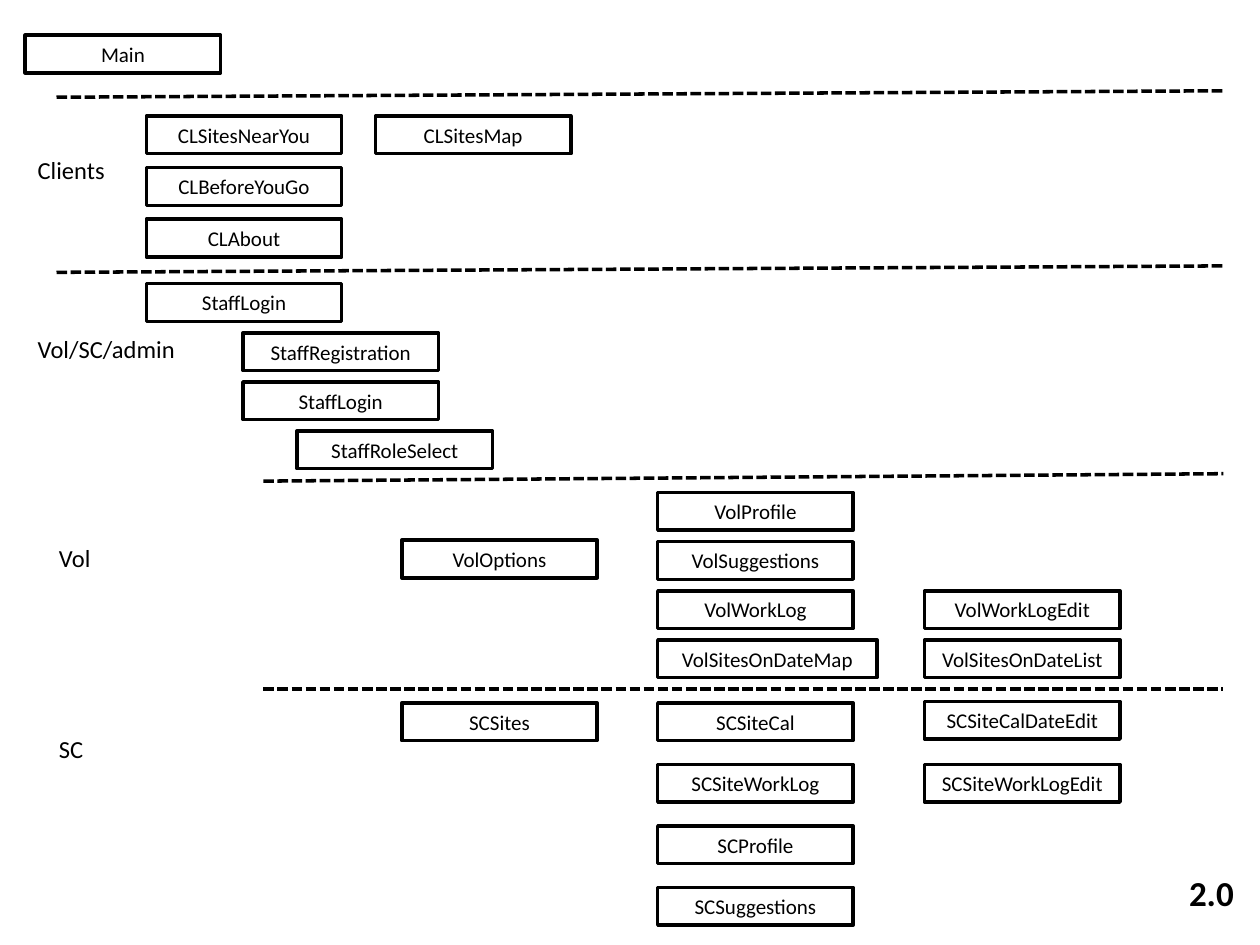
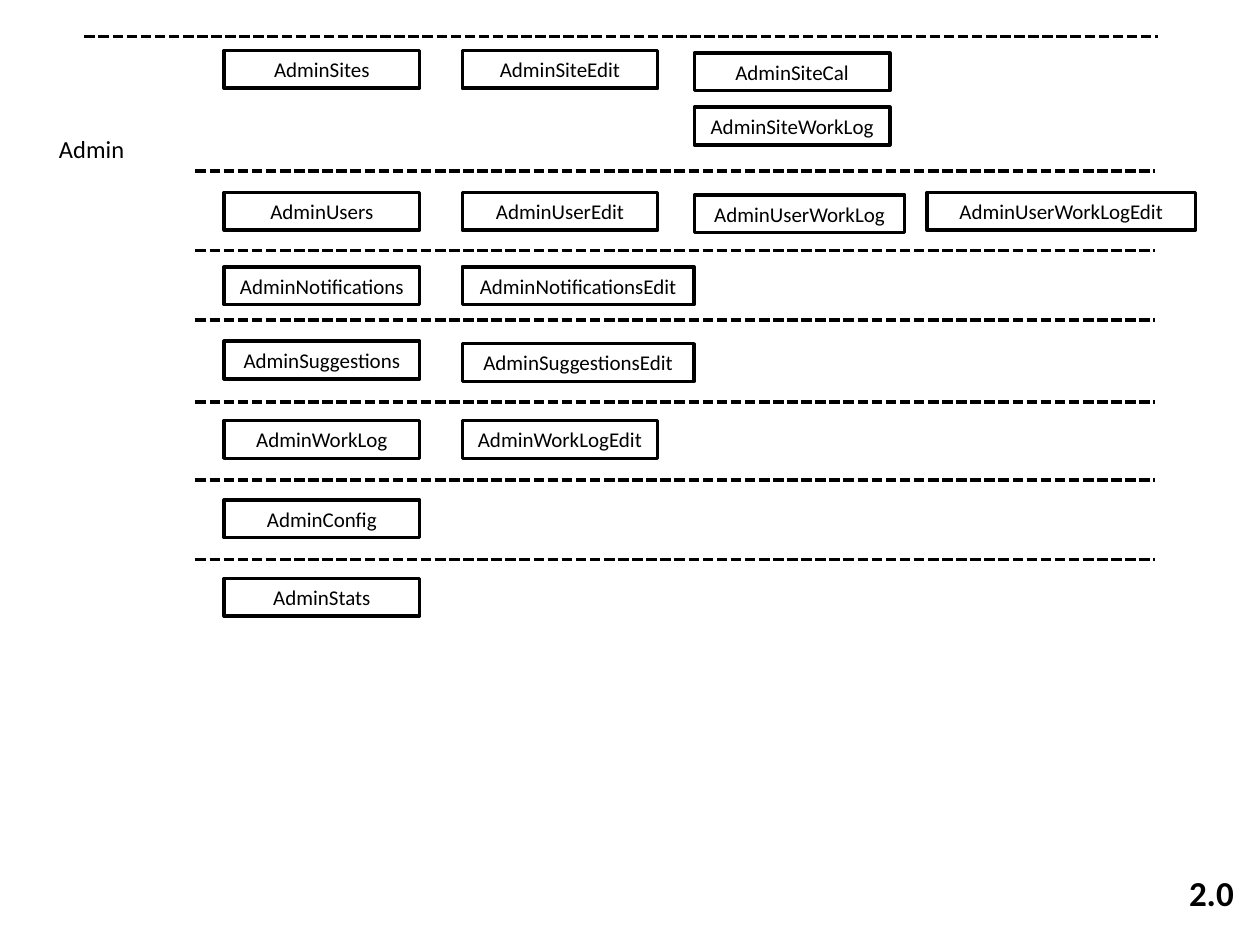
"""Build a two-slide screen map grouped by user role."""
import dataclasses

import pptx
import pptx.dml.color
import pptx.enum.dml
import pptx.enum.shapes
import pptx.enum.text
import pptx.oxml.ns
import pptx.util
from lxml import etree

Cm = pptx.util.Cm
Pt = pptx.util.Pt

INK = "000000"
PAPER = "FFFFFF"
FONT = "Calibri"
SCREEN_WIDTH = 3.94
SCREEN_HEIGHT = 0.76


@dataclasses.dataclass
class Screen:
    """One named screen, placed at a column of its row."""
    left: float
    name: str
    width: float = SCREEN_WIDTH
    nudge: float = 0


@dataclasses.dataclass
class Label:
    """A role name, placed relative to the top of its region."""
    text: str
    left: float
    offset: float
    width: float


@dataclasses.dataclass
class Region:
    """A divider with rows of screens below it."""
    left: float
    top: float
    right: float
    first: float
    rows: list
    step: float = 0
    rise: float = 0
    label: Label = None


def color(value):
    """Turn a hex string into a colour."""
    return pptx.dml.color.RGBColor.from_string(value)


def style_text(text_frame, text, size, bold=False):
    """Set a single line of text in the shared font."""
    text_frame.text = text
    font = text_frame.paragraphs[0].runs[0].font
    font.name = FONT
    font.size = Pt(size)
    font.bold = bold
    font.color.rgb = color(INK)


def add_screen(slide, left, top, width, name):
    """Draw one outlined screen box."""
    shape = slide.shapes.add_shape(
        pptx.enum.shapes.MSO_SHAPE.RECTANGLE,
        Cm(left), Cm(top), Cm(width), Cm(SCREEN_HEIGHT))
    shape.shadow.inherit = False
    shape.fill.solid()
    shape.fill.fore_color.rgb = color(PAPER)
    shape.line.color.rgb = color(INK)
    shape.line.width = Pt(2)
    style_text(shape.text_frame, name, 12)
    shape.text_frame.vertical_anchor = pptx.enum.text.MSO_ANCHOR.MIDDLE
    shape.text_frame.paragraphs[0].alignment = pptx.enum.text.PP_ALIGN.CENTER


def add_text(slide, left, top, width, height, text, size, bold=False):
    """Draw an unwrapped text box that fits its text."""
    box = slide.shapes.add_textbox(Cm(left), Cm(top), Cm(width), Cm(height))
    box.text_frame.word_wrap = False
    box.text_frame.auto_size = pptx.enum.text.MSO_AUTO_SIZE.SHAPE_TO_FIT_TEXT
    style_text(box.text_frame, text, size, bold)


def add_divider(slide, left, top, right, rise):
    """Draw a dashed line that climbs by the given rise."""
    connector = slide.shapes.add_connector(
        pptx.enum.shapes.MSO_CONNECTOR.STRAIGHT,
        Cm(left), Cm(top), Cm(right), Cm(top - rise))
    connector.line.color.rgb = color(INK)
    connector.line.width = Pt(2)
    connector.line.dash_style = pptx.enum.dml.MSO_LINE.SQUARE_DOT
    properties = connector._element.spPr
    etree.SubElement(properties, pptx.oxml.ns.qn("a:effectLst"))


def add_region(slide, region):
    """Draw a divider, its role label and its rows of screens."""
    add_divider(slide, region.left, region.top, region.right, region.rise)
    label = region.label
    if label:
        add_text(slide, label.left, region.top + label.offset,
                 label.width, 0.86, label.text, 14)
    for index, row in enumerate(region.rows):
        row_top = region.top + region.first + index * region.step
        for screen in row:
            add_screen(slide, screen.left, row_top + screen.nudge,
                       screen.width, screen.name)


def add_map_slide(presentation, regions):
    """Add a slide with its regions and the version mark."""
    slide = presentation.slides.add_slide(presentation.slide_layouts[6])
    for region in regions:
        add_region(slide, region)
    add_text(slide, 23.72, 17.45, 1.42, 1.12, "2.0", 20, bold=True)
    return slide


def role_regions():
    """List the regions for clients, staff, volunteers and coordinators."""
    entry, staff, role, side = 2.95, 4.9, 5.99, 7.57
    options, detail, edit = 8.1, 13.26, 18.64
    right = 24.66
    return [
        Region(1.14, 1.96, right, 0.38, [
            [Screen(entry, "CLSitesNearYou"), Screen(side, "CLSitesMap")],
            [Screen(entry, "CLBeforeYouGo")],
            [Screen(entry, "CLAbout")],
        ], 1.04, 0.13, Label("Clients", 0.51, 1.04, 1.88)),
        Region(1.14, 5.49, right, 0.23, [
            [Screen(entry, "StaffLogin")],
            [Screen(staff, "StaffRegistration")],
            [Screen(staff, "StaffLogin")],
            [Screen(role, "StaffRoleSelect")],
        ], 0.99, 0.13, Label("Vol/SC/admin", 0.51, 1.12, 3.33)),
        Region(5.31, 9.7, right, 0.23, [
            [Screen(detail, "VolProfile")],
            [Screen(options, "VolOptions", nudge=-0.03),
             Screen(detail, "VolSuggestions")],
            [Screen(detail, "VolWorkLog"), Screen(edit, "VolWorkLogEdit")],
            [Screen(detail, "VolSitesOnDateMap", 4.42),
             Screen(edit, "VolSitesOnDateList")],
        ], 0.99, 0.15, Label("Vol", 0.94, 1.12, 1.17)),
        Region(5.31, 13.89, right, 0.28, [
            [Screen(options, "SCSites"), Screen(detail, "SCSiteCal"),
             Screen(edit, "SCSiteCalDateEdit", nudge=-0.03)],
            [Screen(detail, "SCSiteWorkLog"),
             Screen(edit, "SCSiteWorkLogEdit")],
            [Screen(detail, "SCProfile")],
            [Screen(detail, "SCSuggestions")],
        ], 1.24, label=Label("SC", 0.94, 0.79, 1.02)),
    ]


def admin_regions():
    """List the regions for administrators."""
    main, edit, detail, detail_edit = 4.52, 9.32, 14, 18.69
    left, right = 3.94, 23.29
    return [
        Region(1.7, 0.74, 23.34, 0.28, [
            [Screen(main, "AdminSites"), Screen(edit, "AdminSiteEdit"),
             Screen(detail, "AdminSiteCal", nudge=0.05)],
            [Screen(detail, "AdminSiteWorkLog")],
        ], 1.14, label=Label("Admin", 0.94, 1.83, 1.83)),
        Region(left, 3.45, right, 0.43, [
            [Screen(main, "AdminUsers"), Screen(edit, "AdminUserEdit"),
             Screen(detail, "AdminUserWorkLog", 4.24, 0.05),
             Screen(detail_edit, "AdminUserWorkLogEdit", 5.41)]]),
        Region(left, 5.05, right, 0.33, [
            [Screen(main, "AdminNotifications"),
             Screen(edit, "AdminNotificationsEdit", 4.67)]]),
        Region(left, 6.45, right, 0.43, [
            [Screen(main, "AdminSuggestions"),
             Screen(edit, "AdminSuggestionsEdit", 4.67, 0.05)]]),
        Region(left, 8.1, right, 0.38, [
            [Screen(main, "AdminWorkLog"),
             Screen(edit, "AdminWorkLogEdit")]]),
        Region(left, 9.68, right, 0.4, [[Screen(main, "AdminConfig")]]),
        Region(left, 11.28, right, 0.38, [[Screen(main, "AdminStats")]]),
    ]


def main():
    """Build and save the presentation."""
    presentation = pptx.Presentation()
    presentation.slide_width = Cm(25.4)
    presentation.slide_height = Cm(19.05)
    role_slide = add_map_slide(presentation, role_regions())
    add_screen(role_slide, 0.51, 0.71, SCREEN_WIDTH, "Main")
    add_map_slide(presentation, admin_regions())
    presentation.save("out.pptx")


if __name__ == "__main__":
    main()
